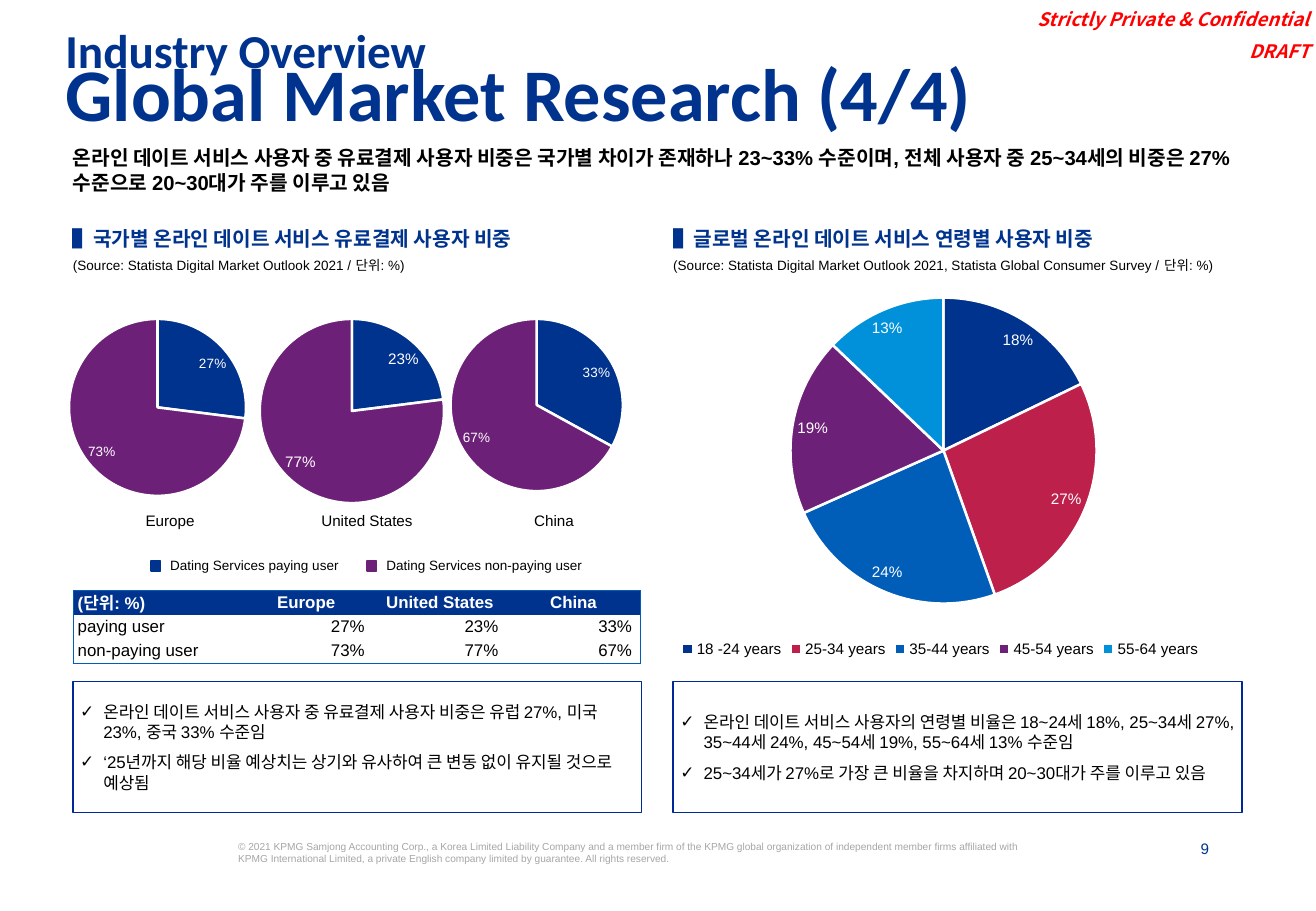
from lxml import etree
from pptx import Presentation
from pptx.chart.data import CategoryChartData
from pptx.dml.color import RGBColor
from pptx.enum.chart import XL_CHART_TYPE, XL_LABEL_POSITION, XL_LEGEND_POSITION
from pptx.enum.shapes import MSO_SHAPE
from pptx.enum.text import MSO_ANCHOR, MSO_AUTO_SIZE, PP_ALIGN
from pptx.oxml.ns import qn
from pptx.util import Inches, Pt

LEFT, CENTER, RIGHT = PP_ALIGN.LEFT, PP_ALIGN.CENTER, PP_ALIGN.RIGHT
TOP, MIDDLE, BOTTOM = MSO_ANCHOR.TOP, MSO_ANCHOR.MIDDLE, MSO_ANCHOR.BOTTOM
PIE = XL_CHART_TYPE.PIE
FIT = XL_LABEL_POSITION.BEST_FIT
BELOW = XL_LEGEND_POSITION.BOTTOM
RECT = MSO_SHAPE.RECTANGLE
CJK = "Noto Sans CJK KR"
PLAIN = "{2D5ABB26-0587-4C30-8999-92F81FD0307C}"  # table style without grid

COLORS = {
    "navy": "00338D", "frame": "002997", "blue": "005EB8", "sky": "0091DA",
    "purple": "6D2077", "red": "BC204B", "alert": "FF0000", "grey": "A6A6A6",
    "black": "000000", "white": "FFFFFF",
}
COL_X = (0.6, 5.54)
COL_W = 4.68


def rgb(name):
    return RGBColor.from_string(COLORS[name])


def style(font, size, color="black", face="Arial", bold=False, italic=False):
    font.name, font.size = face, Pt(size)
    font.bold, font.italic = bold, italic
    font.color.rgb = rgb(color)


def write(frame, text, align=LEFT, anchor=TOP, inset=(0, 0, 0, 0), line=None,
          before=0, bullet=None, **font):
    """Fill a text frame, one paragraph for each line of text."""
    frame.word_wrap = True
    frame.auto_size = MSO_AUTO_SIZE.NONE
    frame.vertical_anchor = anchor
    (frame.margin_left, frame.margin_top,
     frame.margin_right, frame.margin_bottom) = map(Inches, inset)
    for i, part in enumerate(text.split("\n")):
        para = frame.paragraphs[0] if i == 0 else frame.add_paragraph()
        para.text = part
        if bullet:
            props = para._p.get_or_add_pPr()
            props.set("marL", str(Inches(0.19)))
            props.set("indent", str(Inches(-0.19)))
            etree.SubElement(props, qn("a:buFont"), typeface="Arial")
            etree.SubElement(props, qn("a:buChar"), char=bullet)
        para.alignment = align
        para.space_before = Pt(before if i else 0)
        if line:
            para.line_spacing = line
        style(para.font, **font)
        for run in para.runs:
            style(run.font, **font)


def place(shape, x, y, w, h):
    shape.left, shape.top, shape.width, shape.height = map(Inches, (x, y, w, h))


def label(slide, box, text, **form):
    shape = slide.shapes.add_textbox(*map(Inches, box))
    write(shape.text_frame, text, **form)


def key(slide, x, text, color):
    """Legend entry shared by the three small pies."""
    mark = slide.shapes.add_shape(RECT, *map(Inches, (x, 4.62, 0.08, 0.08)))
    mark.shadow.inherit = False
    mark.fill.solid()
    mark.fill.fore_color.rgb = mark.line.color.rgb = rgb(color)
    mark.line.width = Pt(1)
    label(slide, (x + 0.16, 4.59, 2.1, 0.14), text, size=8)


def pie(slide, box, cats, vals, hues, area, size, legend=False):
    data = CategoryChartData(number_format="0%")
    data.categories = cats
    data.add_series("Series 1", vals)
    chart = slide.shapes.add_chart(PIE, *map(Inches, box), data).chart
    chart.has_title = False
    style(chart.font, 10)
    chart.has_legend = legend
    if legend:
        chart.legend.position = BELOW
        chart.legend.include_in_layout = False
        style(chart.legend.font, 9)
    plot = chart.plots[0]
    plot.vary_by_categories = True
    plot.has_data_labels = True
    tags = plot.data_labels
    tags.show_value, tags.show_percentage = True, False
    tags.number_format, tags.number_format_is_linked = "0%", False
    tags.position = FIT
    style(tags.font, size, "white")
    for i, hue in enumerate(hues):
        form = plot.series[0].points[i].format
        form.fill.solid()
        form.fill.fore_color.rgb = rgb(hue)
        form.line.color.rgb = rgb("white")
        form.line.width = Pt(1.5)
    # Fixed plot area
    root = chart._chartSpace.find(".//" + qn("c:plotArea"))
    for old in root.findall(qn("c:layout")):
        root.remove(old)
    layout = etree.Element(qn("c:layout"))
    root.insert(0, layout)
    manual = etree.SubElement(layout, qn("c:manualLayout"))
    pairs = [("layoutTarget", "inner"), ("xMode", "edge"), ("yMode", "edge")]
    for tag, val in pairs + list(zip("xywh", area)):
        etree.SubElement(manual, qn("c:" + tag), val=str(val))


def edge(cell, sides):
    """Draw thin blue lines on the given sides, in L, R, T, B order."""
    props = cell._tc.get_or_add_tcPr()
    for i, side in enumerate(sides):
        line = etree.Element(qn("a:ln" + side), w=str(Pt(0.5)))
        fill = etree.SubElement(line, qn("a:solidFill"))
        etree.SubElement(fill, qn("a:srgbClr"), val=COLORS["blue"])
        props.insert(i, line)


def grid(slide, rows):
    last, end = len(rows) - 1, len(rows[0]) - 1
    box = map(Inches, (COL_X[0], 4.86, 4.67, 0.6))
    table = slide.shapes.add_table(last + 1, end + 1, *box).table
    table.horz_banding = False
    table._tbl.tblPr.find(qn("a:tableStyleId")).text = PLAIN
    for c, col in enumerate(table.columns):
        col.width = Inches(1.1 if c else 1.37)
    for r, row in enumerate(rows):
        table.rows[r].height = Inches(0.2)
        for c, text in enumerate(row):
            cell, head = table.cell(r, c), r == 0
            align = LEFT if c == 0 else CENTER if head else RIGHT
            write(cell.text_frame, text, align=align, size=10, bold=head,
                  color="white" if head else "black")
            cell.vertical_anchor = MIDDLE
            cell.margin_left = Inches(0.04)
            cell.margin_right = Inches(0.04 if head else 0.07)
            cell.margin_top = cell.margin_bottom = 0
            if head:
                cell.fill.solid()
                cell.fill.fore_color.rgb = rgb("navy")
            else:
                cell.fill.background()
            rules = (("L", c == 0), ("R", c == end), ("T", head), ("B", r == last))
            edge(cell, [side for side, on in rules if on])


def main():
    deck = Presentation()
    deck.slide_width, deck.slide_height = Inches(10.83), Inches(7.5)
    slide = deck.slides.add_slide(deck.slide_layouts[3])
    title, *notes = slide.placeholders

    # Page furniture
    label(slide, (9.52, 6.91, 0.43, 0.16), "9", align=RIGHT, size=9, color="navy")
    label(slide, (8.32, 0, 2.5, 0.55), "Strictly Private & Confidential\nDRAFT",
          align=RIGHT, anchor=BOTTOM, inset=(0, 0.04, 0.04, 0.04), before=5.5,
          size=11, color="alert", face=CJK, bold=True, italic=True)
    label(slide, (1.96, 6.92, 6.53, 0.5),
          "© 2021 KPMG Samjong Accounting Corp., a Korea Limited Liability Company "
          "and a member firm of the KPMG global organization of independent member "
          "firms affiliated with KPMG International Limited, a private English "
          "company limited by guarantee. All rights reserved.", size=6, color="grey")

    # Titles and key message
    head = dict(inset=(0.1, 0.05, 0.1, 0.05), line=0.7, color="navy",
                face="Calibri", bold=True)
    label(slide, (0.44, 0.25, 9.4, 0.3), "Industry Overview", size=28, **head)
    place(title, 0.44, 0.54, 9.4, 0.64)
    write(title.text_frame, "Global Market Research (4/4)", size=44, **head)
    label(slide, (0.6, 1.2, 9.61, 0.54),
          "온라인 데이트 서비스 사용자 중 유료결제 사용자 비중은 국가별 차이가 존재하나 "
          "23~33% 수준이며, 전체 사용자 중 25~34세의 비중은 27% 수준으로 20~30대가 "
          "주를 이루고 있음", size=12, bold=True)

    # Two columns: heading, source and findings
    columns = (
        ("▌국가별 온라인 데이트 서비스 유료결제 사용자 비중",
         "(Source: Statista Digital Market Outlook 2021 / 단위: %)",
         "온라인 데이트 서비스 사용자 중 유료결제 사용자 비중은 유럽 27%, 미국 23%, "
         "중국 33% 수준임\n‘25년까지 해당 비율 예상치는 상기와 유사하여 큰 변동 없이 "
         "유지될 것으로 예상됨"),
        ("▌글로벌 온라인 데이트 서비스 연령별 사용자 비중",
         "(Source: Statista Digital Market Outlook 2021, Statista Global Consumer "
         "Survey / 단위: %)",
         "온라인 데이트 서비스 사용자의 연령별 비율은 18~24세 18%, 25~34세 27%, "
         "35~44세 24%, 45~54세 19%, 55~64세 13% 수준임\n25~34세가 27%로 가장 큰 "
         "비율을 차지하며 20~30대가 주를 이루고 있음"),
    )
    for x, note, (topic, source, text) in zip(COL_X, notes, columns):
        label(slide, (x, 1.75, 4.12, 0.39), topic, anchor=MIDDLE, line=1.2,
              size=12, color="navy", bold=True)
        label(slide, (x, 2.12, COL_W, 0.14), source, size=8)
        place(note, x, 5.61, COL_W, 1.08)
        note.line.color.rgb = rgb("frame")
        note.line.width = Pt(1)
        write(note.text_frame, text, anchor=MIDDLE, inset=(0.06,) * 4,
              line=Pt(12), before=6, bullet="✓", size=10)

    # Paying share by country
    lands = (("Europe", 0.27, 0.74, 8, 1.4), ("United States", 0.23, 0.77, 9, 3.02),
             ("China", 0.33, 0.72, 8, 4.56))
    for i, (land, share, span, size, mid) in enumerate(lands):
        pie(slide, (0.43 + 1.57 * i, 2.37, 1.97, 1.97), ("1", "2"),
            (share, round(1 - share, 2)), ("navy", "purple"),
            (0.07, 0.13, span, span), size)
        label(slide, (mid - 0.48, 4.21, 0.96, 0.14), land, align=CENTER, size=9)
    key(slide, 1.24, "Dating Services paying user", "navy")
    key(slide, 3.02, "Dating Services non-paying user", "purple")
    grid(slide, (("(단위: %)", *(land[0] for land in lands)),
                 ("paying user", *(f"{land[1]:.0%}" for land in lands)),
                 ("non-paying user", *(f"{1 - land[1]:.0%}" for land in lands))))

    # Users by age
    pie(slide, (5.27, 2.25, 4.94, 3.21),
        ("18 -24 years", "25-34 years", "35-44 years", "45-54 years", "55-64 years"),
        (0.18, 0.27, 0.24, 0.19, 0.13), ("navy", "red", "blue", "purple", "sky"),
        (0.25, 0.06, 0.51, 0.79), 9, legend=True)
    deck.save("out.pptx")


if __name__ == "__main__":
    main()
